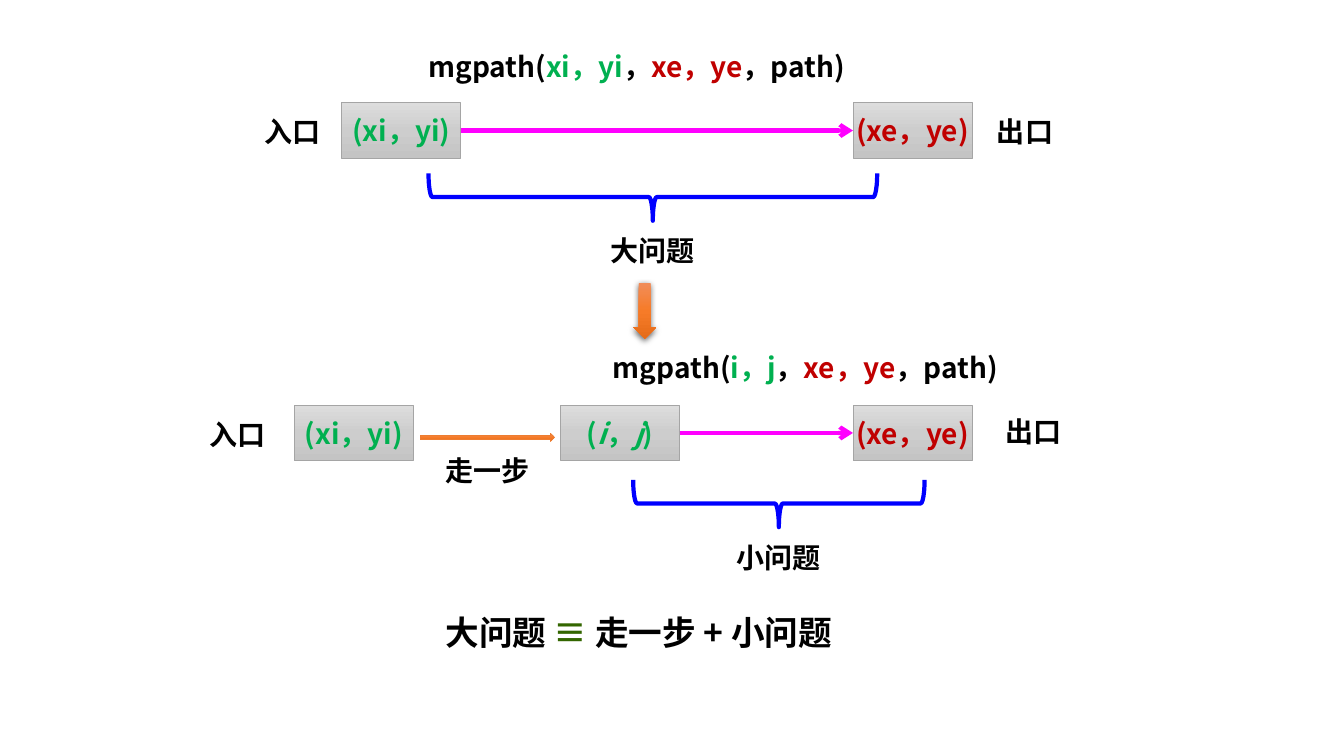
"""Build a slide that splits a maze path problem into one step and a smaller problem."""
import copy

import pptx
import pptx.dml.color
import pptx.enum.shapes
import pptx.enum.text
import pptx.oxml
import pptx.oxml.ns
import pptx.util

COLORS = {
    "black": "000000", "start": "00B050", "exit": "C00000", "equal": "336600",
    "path": "FF00FF", "brace": "0000FF", "box_edge": "A5A5A5", "step_edge": "ED7D31",
}
GRADIENTS = {
    "box": ("DDDDDD", "CDCDCD", "C4C4C4"),
    "step": ("F18D59", "F67B28", "E56C19"),
}
FONT = "Noto Sans CJK SC"
SHAPES = pptx.enum.shapes.MSO_SHAPE
CENTER = pptx.enum.text.PP_ALIGN.CENTER
qn = pptx.oxml.ns.qn

deck = pptx.Presentation()
deck.slide_width = pptx.util.Inches(13.33)
deck.slide_height = pptx.util.Inches(7.5)
slide = deck.slides.add_slide(deck.slide_layouts[6])
CELL = deck.slide_height / 75
BOX_W, BOX_H = 11.8, 5.5
TOP_ROW, BOTTOM_ROW = 10.2, 40.2


def add_shape(kind, frame, gradient=None, edge=None, weight=0.5):
    """Place a preset shape on the grid with a three-stop gradient and an outline."""
    shape = slide.shapes.add_shape(kind, *(round(cells * CELL) for cells in frame))
    shape.shadow.inherit = False
    if gradient:
        shape.fill.gradient()
        shape.fill.gradient_angle = 270
        stop_list = shape._element.spPr.find(".//" + qn("a:gsLst"))
        stop_list.insert(1, copy.deepcopy(stop_list[0]))
        for stop, position, color in zip(shape.fill.gradient_stops, (0, 0.5, 1), GRADIENTS[gradient]):
            stop.position = position
            stop.color.rgb = pptx.dml.color.RGBColor.from_string(color)
    else:
        shape.fill.background()
    if edge:
        shape.line.color.rgb = pptx.dml.color.RGBColor.from_string(COLORS[edge])
        shape.line.width = pptx.util.Pt(weight)
    else:
        shape.line.fill.background()
    return shape


def write(frame, pieces, size=20, align=None):
    """Fill a text frame with bold runs given as text, colour and optional italic."""
    paragraph = frame.paragraphs[0]
    paragraph.alignment = align
    for text, color, *italic in pieces:
        run = paragraph.add_run()
        run.text = text
        run.font.size = pptx.util.Pt(size)
        run.font.bold = True
        run.font.italic = bool(italic)
        run.font.name = FONT
        run.font.color.rgb = pptx.dml.color.RGBColor.from_string(COLORS[color])
        east_asian = pptx.oxml.parse_xml(f'<a:ea {pptx.oxml.ns.nsdecls("a")} typeface="{FONT}"/>')
        run.font._element.append(east_asian)


start_cell = [("(xi，yi)", "start")]
exit_cell = [("(xe，ye)", "exit")]
next_cell = [("(", "start"), ("i", "start", True), ("，", "start"), ("j", "start", True), (")", "start")]
cells = []
for left, top, pieces in [
    (33.9, TOP_ROW, start_cell),
    (84.6, TOP_ROW, exit_cell),
    (29.2, BOTTOM_ROW, start_cell),
    (55.6, BOTTOM_ROW, next_cell),
    (84.6, BOTTOM_ROW, exit_cell),
]:
    cell = add_shape(SHAPES.RECTANGLE, (left, top, BOX_W, BOX_H), "box", "box_edge")
    cell.text_frame.word_wrap = False
    cell.text_frame.vertical_anchor = pptx.enum.text.MSO_ANCHOR.MIDDLE
    write(cell.text_frame, pieces, align=CENTER)
    cells.append(cell)
big_start, big_exit, small_start, small_next, small_exit = cells

for origin, target in [(big_start, big_exit), (small_next, small_exit)]:
    route = slide.shapes.add_connector(pptx.enum.shapes.MSO_CONNECTOR.STRAIGHT, 0, 0, 0, 0)
    route.begin_connect(origin, 3)
    route.end_connect(target, 1)
    route.line.color.rgb = pptx.dml.color.RGBColor.from_string(COLORS["path"])
    route.line.width = pptx.util.Pt(3)
    for parent, tag in [
        (route.line._get_or_add_ln(), '<a:tailEnd {} type="arrow"/>'),
        (route._element.spPr, "<a:effectLst {}/>"),
    ]:
        parent.append(pptx.oxml.parse_xml(tag.format(pptx.oxml.ns.nsdecls("a"))))

for left, top, length in [(62.4, -2.7, 44.5), (74.9, 35.5, 28.9)]:
    brace = add_shape(SHAPES.LEFT_BRACE, (left, top, 4.7, length), edge="brace", weight=3)
    brace.rotation = 270

add_shape(SHAPES.RIGHT_ARROW, (41.7, 43, 13.3, 0.8), "step", "step_edge")
reduction = add_shape(SHAPES.DOWN_ARROW, (62.8, 28.1, 2.3, 5.5), "step")
reduction._element.spPr.find(qn("a:effectLst")).append(pptx.oxml.parse_xml(
    f'<a:outerShdw {pptx.oxml.ns.nsdecls("a")} blurRad="57150" dist="19050" dir="5400000" '
    'algn="ctr" rotWithShape="0"><a:srgbClr val="000000"><a:alpha val="63000"/>'
    "</a:srgbClr></a:outerShdw>"))

call_end = [("，", "black"), ("xe，ye", "exit"), ("，path)", "black")]
equation = [("大问题 ", "black"), ("≡ ", "equal"), ("走一步 + 小问题", "black")]
for left, top, width, pieces, size, align in [
    (41.5, 4.4, 52.6, [("mgpath(", "black"), ("xi，yi", "start"), *call_end], 20, None),
    (59.8, 34.3, 44.7, [("mgpath(", "black"), ("i，j", "start"), *call_end], 20, None),
    (25.3, 10.9, 9.4, [("入口", "black")], 20, None),
    (97.9, 10.9, 9.4, [("出口", "black")], 20, None),
    (19.8, 40.9, 9.4, [("入口", "black")], 20, None),
    (98.7, 40.6, 9.4, [("出口", "black")], 20, None),
    (43.2, 44.5, 11.7, [("走一步", "black")], 20, None),
    (57.3, 22.7, 14.8, [("大问题", "black")], 20, CENTER),
    (69.8, 53.1, 14.8, [("小问题", "black")], 20, CENTER),
    (43.2, 60.2, 46.9, equation, 24, None),
]:
    height = size * 0.22
    label = slide.shapes.add_textbox(*(round(cells * CELL) for cells in (left, top, width, height)))
    label.text_frame.word_wrap = True
    write(label.text_frame, pieces, size, align)

deck.save("out.pptx")
